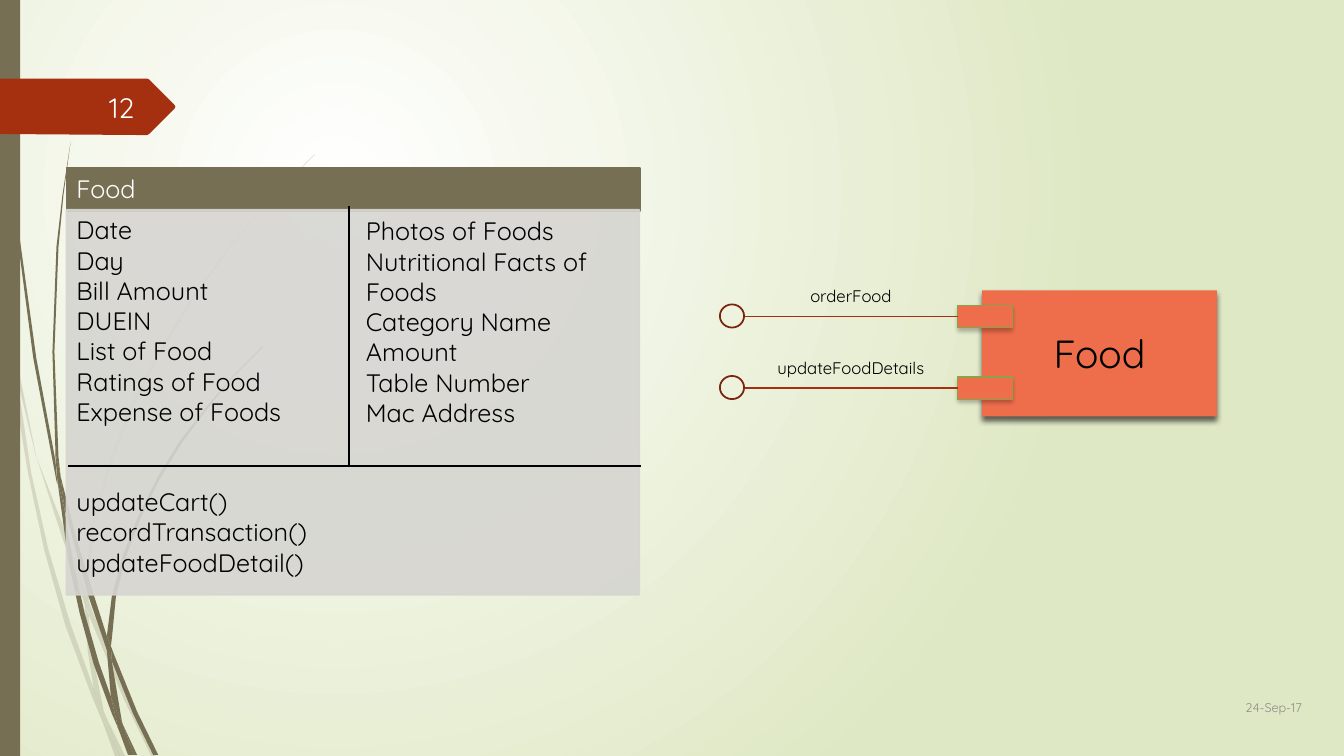
"""Builds the Food class slide: a class box beside a component with two interfaces."""
from lxml import etree
from pptx import Presentation
from pptx.dml.color import RGBColor
from pptx.enum.shapes import MSO_CONNECTOR, MSO_SHAPE
from pptx.enum.text import MSO_ANCHOR, PP_ALIGN
from pptx.oxml import parse_xml
from pptx.oxml.ns import nsdecls, qn
from pptx.util import Pt

PX = 9144
FONT = "Quicksand"
RECT, OVAL = MSO_SHAPE.RECTANGLE, MSO_SHAPE.OVAL
STRAIGHT = MSO_CONNECTOR.STRAIGHT
LEFT, CENTER, RIGHT = PP_ALIGN.LEFT, PP_ALIGN.CENTER, PP_ALIGN.RIGHT
TOP, MIDDLE = MSO_ANCHOR.TOP, MSO_ANCHOR.MIDDLE
OLIVE, RUST, CORAL, GREY, BLACK = "766F54", "A53010", "EE6E4B", "D6D5D1", "000000"

FAINT_STRANDS = [
    "11,350 9,322 0,282 0,299 10,344",
    "58,522 84,599 85,586 62,520 36,453 14,345 17,376 35,450",
    "92,607 88,596 88,610 123,694 150,750 155,750 127,692",
    "119,750 124,750 105,711",
    "93,683 70,619 48,545 31,469 17,376 11,350 18,410 28,470 44,546 65,621 92,693 101,714 99,707",
    "84,599 87,646 93,683 96,692 105,711 103,706 91,646 88,610",
    "88,584 93,523 110,462 132,405 160,349 192,297 229,245 268,198 312,154 312,153 268,197 228,244 "
    "191,294 158,348 129,403 107,461 90,523 85,584 85,586 88,596",
    "101,714 114,750 119,750",
    "88,608 88,596 85,586 84,599",
    "96,692 93,683 99,707 101,714 119,750 105,711",
]
DARK_STRANDS = [
    "7,110 17,233 33,355 56,477 57,481 55,457 36,355 19,232 8,109 5,48 4,0 3,0 4,48",
    "88,592 106,645 106,631 93,590 75,531 60,472 64,505",
    "113,649 110,641 111,656 132,708 152,749 157,749 136,706",
    "110,691 98,657 84,608 72,556 64,505 57,477 68,557 79,608 93,659 111,708 117,722 116,717",
    "60,472 58,453 54,349 58,245 63,193 70,141 62,193 56,245 52,349 55,449",
    "133,749 136,749 122,719",
    "57,477 64,505 60,472 55,449 55,453",
    "111,633 115,592 125,552 140,513 158,476 180,440 205,406 231,374 261,344 260,344 231,373 "
    "204,405 178,438 156,474 137,512 122,551 111,591 106,631 110,641",
    "117,722 127,749 131,749",
    "106,645 110,691 116,706 122,719 121,716 111,656 109,651",
    "106,645 109,651 111,656 110,641 106,631",
    "116,706 110,691 116,717 117,722 130,749 133,749 122,719",
]
FLAG = "0,78 146,78 148,79 173,104 174,106 173,108 148,133 146,134 136,134 0,133"
LEFT_FIELDS = ["Date", "Day", "Bill Amount", "DUEIN", "List of Food", "Ratings of Food", "Expense of Foods"]
RIGHT_FIELDS = ["Photos of Foods", "Nutritional Facts of Foods", "Category Name", "Amount", "Table Number", "Mac Address"]
METHODS = ["updateCart()", "recordTransaction()", "updateFoodDetail()"]


def rgb(color):
    """Turn a hex string into a colour."""
    return RGBColor.from_string(color)


def paint(sp, fill=None, line=None, width=1.25, alpha=100):
    """Set fill, outline and opacity, and drop the inherited shadow."""
    sp.shadow.inherit = False
    if fill:
        sp.fill.solid()
        sp.fill.fore_color.rgb = rgb(fill)
    else:
        sp.fill.background()
    if line:
        sp.line.color.rgb = rgb(line)
        sp.line.width = Pt(width)
    else:
        sp.line.fill.background()
    if alpha < 100:
        for clr in sp._element.iter(qn("a:srgbClr")):
            etree.SubElement(clr, qn("a:alpha")).set("val", str(alpha * 1000))


def add_box(s, kind, x, y, w, h, **style):
    """Add a painted preset shape."""
    sp = s.shapes.add_shape(kind, x * PX, y * PX, w * PX, h * PX)
    paint(sp, **style)
    return sp


def add_textbox(s, x, y, w, h):
    """Add an empty text box."""
    return s.shapes.add_textbox(x * PX, y * PX, w * PX, h * PX)


def write(sp, lines, size, color=BLACK, align=LEFT, anchor=TOP):
    """Fill a shape with one paragraph a line."""
    tf = sp.text_frame
    tf.word_wrap = True
    tf.vertical_anchor = anchor
    tf.text = "\n".join(lines)
    for p in tf.paragraphs:
        p.alignment = align
        for r in p.runs:
            r.font.name = FONT
            r.font.size = Pt(size)
            r.font.color.rgb = rgb(color)


def add_line(s, x1, y1, x2, y2, color):
    """Add a straight line without a shadow."""
    cn = s.shapes.add_connector(STRAIGHT, x1 * PX, y1 * PX, x2 * PX, y2 * PX)
    cn.line.color.rgb = rgb(color)
    cn.line.width = Pt(1.25)
    etree.SubElement(cn._element.spPr, qn("a:effectLst"))


def add_shadow(sp, alpha, blur, dist):
    """Drop a black shadow straight down from a shape."""
    effects = sp._element.spPr.find(qn("a:effectLst"))
    effects.append(parse_xml(
        f'<a:outerShdw {nsdecls("a")} blurRad="{Pt(blur)}" dist="{Pt(dist)}" dir="5400000" rotWithShape="0">'
        f'<a:srgbClr val="{BLACK}"><a:alpha val="{alpha * 1000}"/></a:srgbClr></a:outerShdw>'))


def add_outline(s, outline, fill, alpha=100):
    """Add a closed polygon from a string of x,y corners."""
    start, *rest = [tuple(map(int, corner.split(","))) for corner in outline.split()]
    fb = s.shapes.build_freeform(*start, scale=PX)
    fb.add_line_segments(rest, close=True)
    paint(fb.convert_to_shape(), fill, alpha=alpha)


def set_background(s):
    """Give the slide a circular gradient from white to pale green."""
    s._element.cSld.insert(0, parse_xml(
        f'<p:bg {nsdecls("p", "a")}><p:bgPr><a:gradFill rotWithShape="1"><a:gsLst>'
        '<a:gs pos="0"><a:srgbClr val="FFFFFF"/></a:gs><a:gs pos="100000"><a:srgbClr val="DFE8C4"/></a:gs>'
        '</a:gsLst><a:path path="circle"><a:fillToRect l="50000" t="50000" r="100000" b="100000"/></a:path>'
        '</a:gradFill><a:effectLst/></p:bgPr></p:bg>'))


def add_decor(s):
    """Draw the strands, side bar, page flag and date."""
    for strands, alpha in ((FAINT_STRANDS, 20), (DARK_STRANDS, 100)):
        for strand in strands:
            add_outline(s, strand, OLIVE, alpha)
    add_box(s, RECT, 0, 0, 20, 750, fill=OLIVE)
    add_outline(s, FLAG, RUST)
    write(add_textbox(s, 1176, 681, 125, 41), ["24-Sep-17"], 9, "8C8C8C", RIGHT, MIDDLE)
    write(add_textbox(s, 58, 86, 85, 40), ["12"], 20, "FEFFFF", RIGHT, MIDDLE)


def add_interface(s, y, label):
    """Draw a port on the component with its lollipop and label."""
    port = add_box(s, RECT, 950, y, 54, 22, fill=CORAL, line="8BA249", width=0.75)
    add_shadow(port, 25, 3, 2)
    add_line(s, 950, y + 11, 739, y + 11, RUST)
    add_box(s, OVAL, 714, y - 1, 24, 23, line="7A240C")
    write(add_textbox(s, 754, y - 24, 180, 30), [label], 12, align=CENTER)


def add_class_box(s):
    """Draw the class box with its fields and methods."""
    write(add_box(s, RECT, 66, 167, 569, 42, fill=OLIVE, line=OLIVE), ["Food"], 18, "FFFFFF")
    body = add_box(s, RECT, 66, 208, 568, 382, fill=GREY, line=GREY, alpha=90)
    write(body, LEFT_FIELDS + METHODS, 18)
    body.text_frame.paragraphs[len(LEFT_FIELDS)].space_before = Pt(43)
    add_line(s, 67, 462, 636, 462, BLACK)
    add_line(s, 346, 462, 346, 204, BLACK)
    write(add_textbox(s, 353, 209, 283, 222), RIGHT_FIELDS, 18)


def main():
    """Build and save the slide."""
    prs = Presentation()
    prs.slide_width, prs.slide_height = 1333 * PX, 750 * PX
    s = prs.slides.add_slide(prs.slide_layouts[6])
    set_background(s)
    add_decor(s)
    component = add_box(s, RECT, 974, 288, 233, 125, fill=CORAL)
    add_shadow(component, 60, 4, 3)
    write(component, ["Food"], 28, align=CENTER, anchor=MIDDLE)
    for y, label in ((303, "orderFood"), (374, "updateFoodDetails")):
        add_interface(s, y, label)
    add_class_box(s)
    prs.save("out.pptx")


if __name__ == "__main__":
    main()
